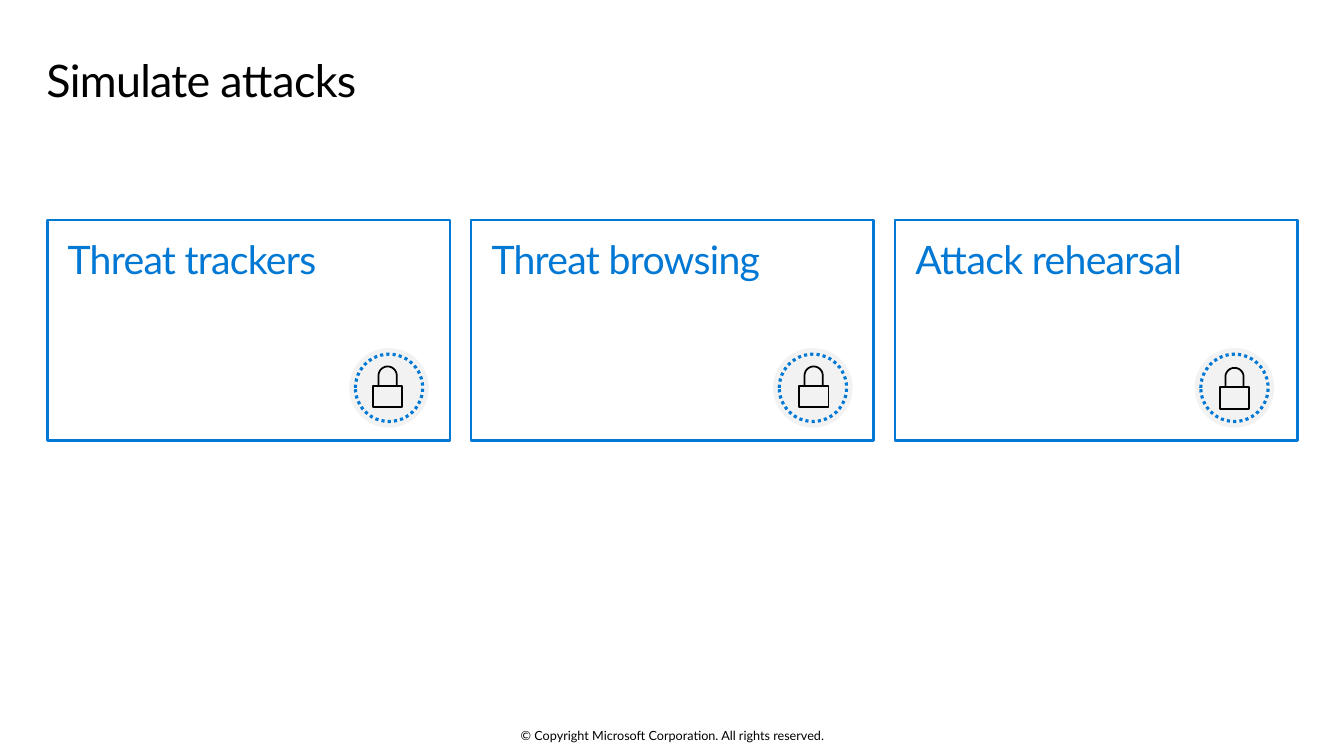
import math
from lxml import etree
from pptx import Presentation
from pptx.dml.color import RGBColor
from pptx.enum import dml, shapes, text
from pptx.oxml import ns
from pptx.util import Pt

BLUE = RGBColor(0x00, 0x78, 0xD4)
GRAY = RGBColor(0xF2, 0xF2, 0xF2)
BLACK = RGBColor(0, 0, 0)
FONT = "Lato"

CARDS = [
    ("Threat trackers", 215.5, (17, 13.2)),
    ("Threat browsing", 215.5, (18.5, 13.2)),
    ("Attack rehearsal", 213.8, (18, 14.2)),
]


def place(item, box):
    item.left, item.top, item.width, item.height = (Pt(n) for n in box)


def write(item, words, size, color, insets, align, anchor, tight=0):
    frame = item.text_frame
    frame.word_wrap = True
    frame.auto_size = text.MSO_AUTO_SIZE.NONE
    frame.vertical_anchor = anchor
    (frame.margin_left, frame.margin_top,
     frame.margin_right, frame.margin_bottom) = (Pt(n) for n in insets)
    para = frame.paragraphs[0]
    props = para._p.get_or_add_pPr()
    props.set("marL", "0")
    props.set("indent", "0")
    etree.SubElement(props, ns.qn("a:buNone"))
    para.alignment = align
    para.space_before = Pt(0)
    run = para.add_run()
    run.text = words
    font = run.font
    font.name, font.size, font.bold = FONT, Pt(size), False
    font.color.rgb = color
    if tight:
        run._r.get_or_add_rPr().set("spc", str(tight))
    return para


def title(item, box):
    place(item, box)
    para = write(item, "Simulate attacks", 32, BLACK, (0, 7.2, 11.5, 7.2),
                 text.PP_ALIGN.LEFT, text.MSO_ANCHOR.TOP, -50)
    para.line_spacing = 0.9


def circle(group, box):
    disc = group.shapes.add_shape(shapes.MSO_SHAPE.OVAL, *(Pt(n) for n in box))
    disc.shadow.inherit = False
    return disc


def lock(group, x, y):
    wide, high, neck, rad = 21, 29.2, 13.7, 6.5
    mid = x + wide / 2
    arch = [(mid + rad * math.cos(a), y + rad - rad * math.sin(a))
            for a in (math.pi * i / 24 for i in range(25))]
    loop = [(mid + rad, y + neck), *arch, (mid - rad, y + neck)]
    base = [(x + wide, y + high), (x, y + high),
            (x, y + neck), (x + wide, y + neck)]
    base, loop = ([(Pt(a), Pt(b)) for a, b in part] for part in (base, loop))
    pen = group.shapes.build_freeform(*base[0])
    pen.add_line_segments(base[1:], close=True)
    pen.move_to(*loop[0])
    pen.add_line_segments(loop[1:], close=False)
    icon = pen.convert_to_shape()
    icon.shadow.inherit = False
    icon.fill.background()
    icon.line.color.rgb = BLACK
    icon.line.width = Pt(1.25)


def badge(slide, x, y, shift):
    size, gap = 56.9, 4.4
    group = slide.shapes.add_group_shape()
    disc = circle(group, (x, y, size, size))
    disc.fill.solid()
    disc.fill.fore_color.rgb = GRAY
    disc.line.fill.background()
    ring = circle(group, (x + gap, y + gap, size - 2 * gap, size - 2 * gap))
    ring.fill.background()
    ring.line.color.rgb = BLUE
    ring.line.width = Pt(2.25)
    ring.line.dash_style = dml.MSO_LINE.ROUND_DOT
    lock(group, x + shift[0], y + shift[1])


def card(slide, item, box, words, inset, shift):
    place(item, box)
    item.fill.background()
    item.line.color.rgb = BLUE
    item.line.width = Pt(1.5)
    para = write(item, words, 28, BLUE, (14.4, 10.8, 14.4, 7.2),
                 text.PP_ALIGN.LEFT, text.MSO_ANCHOR.TOP, -50)
    para.space_after = Pt(4)
    badge(slide, box[0] + inset, box[1] + 91.6, shift)


def footer(slide, box):
    note = slide.shapes.add_textbox(*(Pt(n) for n in box))
    write(note, "© Copyright Microsoft Corporation. All rights reserved.", 9,
          BLACK, (0, 0, 0, 0), text.PP_ALIGN.CENTER, text.MSO_ANCHOR.MIDDLE)


def main():
    deck = Presentation()
    deck.slide_width, deck.slide_height = Pt(960), Pt(540)
    slide = deck.slides.add_slide(deck.slide_layouts.get_by_name("Comparison"))
    head, *bodies = list(slide.placeholders)
    title(head, (33.1, 34.6, 893, 53.3))
    for i, (words, inset, shift) in enumerate(CARDS):
        box = (33.9 + 302.8 * i, 157, 287.3, 157.7)
        card(slide, bodies[i], box, words, inset, shift)
    for spare in bodies[len(CARDS):]:
        spare.element.getparent().remove(spare.element)
    footer(slide, (318.2, 519.8, 324, 10.8))
    deck.save("out.pptx")


if __name__ == "__main__":
    main()
